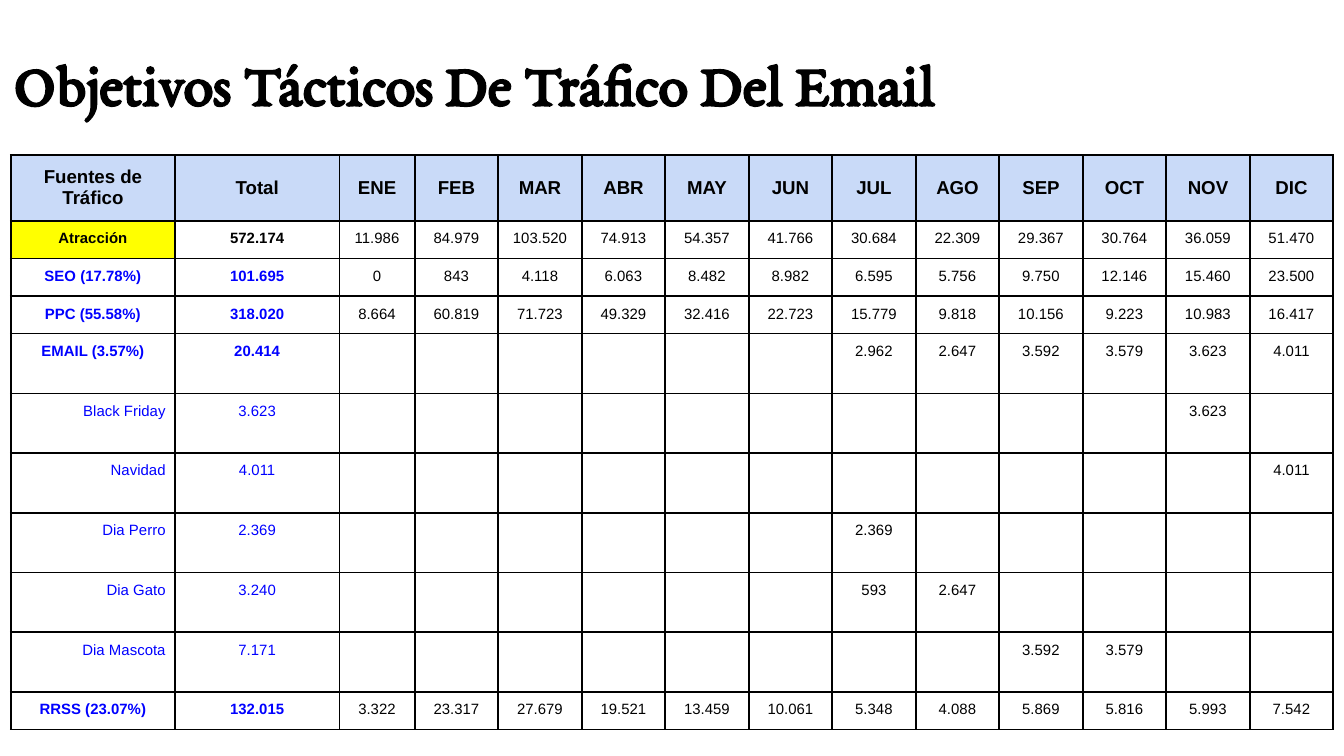
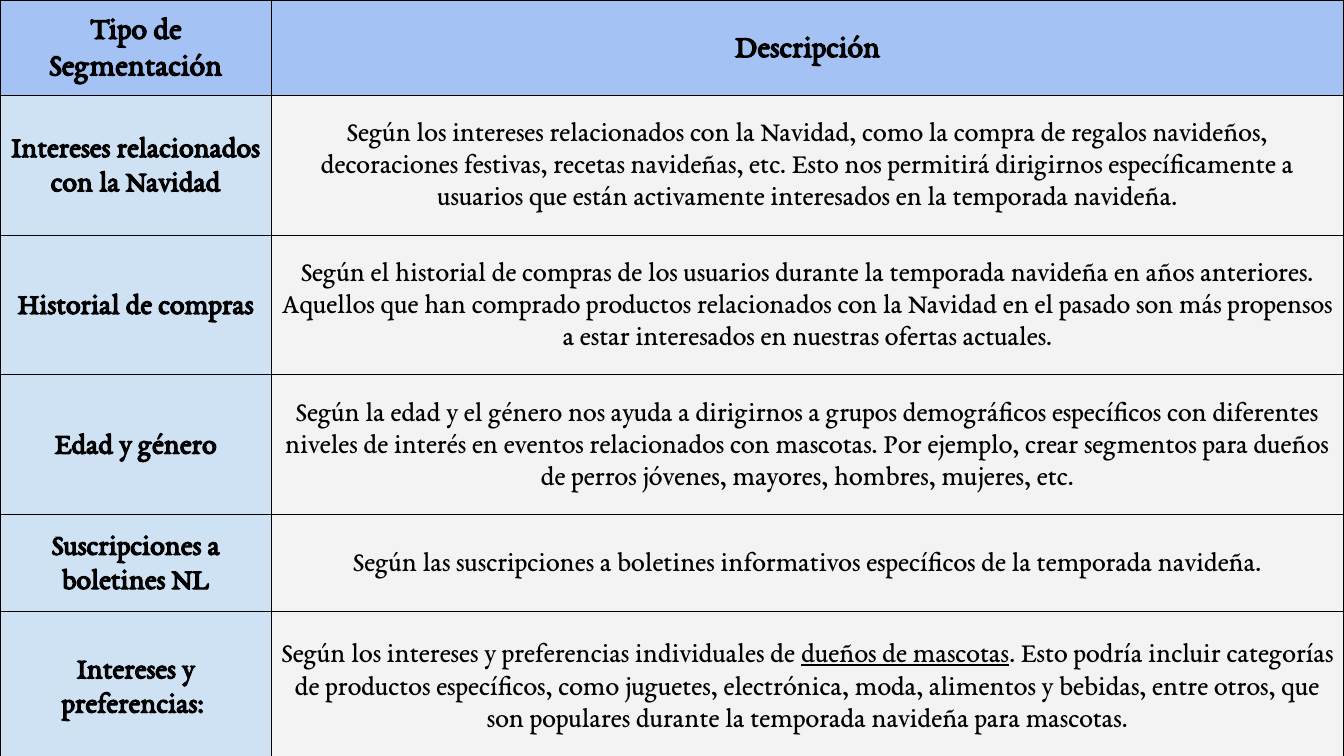
from dataclasses import dataclass

from lxml import etree
from pptx import Presentation, util as u
from pptx.dml.color import RGBColor
from pptx.enum import text as t
from pptx.oxml import ns


@dataclass(frozen=True)
class Theme:
    serif: str = "EB Garamond"
    sans: str = "Arial"
    black: str = "000000"
    blue: str = "0000FF"
    yellow: str = "FFFF00"
    sky: str = "C9DAF8"
    head: str = "A4C2F4"
    pale: str = "CFE2F3"
    gray: str = "F3F3F3"
    title: int = 32
    topic: int = 17
    label: int = 16
    body: int = 15
    month: int = 10
    data: int = 8


TH = Theme()
WIDTH = u.Inches(10)
HEIGHT = WIDTH * 9 // 16
MID, RIGHT = t.PP_ALIGN.CENTER, t.PP_ALIGN.RIGHT

MONTHS = "ENE FEB MAR ABR MAY JUN JUL AGO SEP OCT NOV DIC".split()
# Label, total and the twelve months; "-" is an empty month
SOURCES = [
    ("Atracción", "572.174", "11.986 84.979 103.520 74.913 54.357 41.766 "
     "30.684 22.309 29.367 30.764 36.059 51.470"),
    ("SEO (17.78%)", "101.695", "0 843 4.118 6.063 8.482 8.982 "
     "6.595 5.756 9.750 12.146 15.460 23.500"),
    ("PPC (55.58%)", "318.020", "8.664 60.819 71.723 49.329 32.416 22.723 "
     "15.779 9.818 10.156 9.223 10.983 16.417"),
    ("EMAIL (3.57%)", "20.414", "- - - - - - 2.962 2.647 3.592 3.579 3.623 4.011"),
    ("Black Friday", "3.623", "- - - - - - - - - - 3.623 -"),
    ("Navidad", "4.011", "- - - - - - - - - - - 4.011"),
    ("Dia Perro", "2.369", "- - - - - - 2.369 - - - - -"),
    ("Dia Gato", "3.240", "- - - - - - 593 2.647 - - - -"),
    ("Dia Mascota", "7.171", "- - - - - - - - 3.592 3.579 - -"),
    ("RRSS (23.07%)", "132.015", "3.322 23.317 27.679 19.521 13.459 10.061 "
     "5.348 4.088 5.869 5.816 5.993 7.542"),
]
EVENTS = {"Black Friday", "Navidad", "Dia Perro", "Dia Gato", "Dia Mascota"}

# Underscores enclose underlined words
SEGMENTS = [
    ("Intereses relacionados con la Navidad",
     "Según los intereses relacionados con la Navidad, como la compra de regalos "
     "navideños, decoraciones festivas, recetas navideñas, etc. Esto nos permitirá "
     "dirigirnos específicamente a usuarios que están activamente interesados en la "
     "temporada navideña."),
    ("Historial de compras",
     "Según el historial de compras de los usuarios durante la temporada navideña en "
     "años anteriores. Aquellos que han comprado productos relacionados con la Navidad "
     "en el pasado son más propensos a estar interesados en nuestras ofertas actuales."),
    ("Edad y género",
     "Según la edad y el género nos ayuda a dirigirnos a grupos demográficos "
     "específicos con diferentes niveles de interés en eventos relacionados con "
     "mascotas. Por ejemplo, crear segmentos para dueños de perros jóvenes, mayores, "
     "hombres, mujeres, etc."),
    ("Suscripciones a boletines NL",
     "Según las suscripciones a boletines informativos específicos de la temporada "
     "navideña."),
    ("Intereses y preferencias: ",
     "Según los intereses y preferencias individuales de _dueños de mascotas_. Esto "
     "podría incluir categorías de productos específicos, como juguetes, electrónica, "
     "moda, alimentos y bebidas, entre otros, que son populares durante la temporada "
     "navideña para mascotas."),
]


def place(box):
    """Turn shares of the slide into left, top, width and height."""
    x, y, w, h = box
    return int(x * WIDTH), int(y * HEIGHT), int(w * WIDTH), int(h * HEIGHT)


def style(run, face, size, color=TH.black, bold=False):
    font = run.font
    font.name, font.size, font.bold = face, u.Pt(size), bold
    font.color.rgb = RGBColor.from_string(color)


def border(cell, width):
    props = cell._tc.get_or_add_tcPr()
    for i, side in enumerate(("lnL", "lnR", "lnT", "lnB")):
        line = etree.Element(ns.qn("a:" + side), w=str(u.Pt(width)))
        fill = etree.SubElement(line, ns.qn("a:solidFill"))
        etree.SubElement(fill, ns.qn("a:srgbClr"), val=TH.black)
        props.insert(i, line)


def grid(slide, box, cols, rows, inset, width):
    """Add a plain table whose columns and rows share out the box."""
    x, y, w, h = place(box)
    table = slide.shapes.add_table(len(rows), len(cols), x, y, w, h).table
    table.first_row = table.horz_banding = False
    for col, part in zip(table.columns, cols):
        col.width = int(w * part / sum(cols))
    for row, part in zip(table.rows, rows):
        row.height = int(h * part / sum(rows))
    for cell in table.iter_cells():
        cell.margin_left = cell.margin_right = u.Pt(inset)
        cell.margin_top = cell.margin_bottom = u.Pt(inset)
        cell.fill.background()
        border(cell, width)
    return table


def write(cell, words, face, size, color=TH.black, bold=False,
          fill=None, align=MID, middle=False, space=None):
    para = cell.text_frame.paragraphs[0]
    para.alignment, para.line_spacing = align, space
    for i, part in enumerate(words.split("_")):
        run = para.add_run()
        run.text = part
        style(run, face, size, color, bold)
        if i % 2:
            run.font.underline = True
    if middle:
        cell.vertical_anchor = t.MSO_ANCHOR.MIDDLE
    if fill:
        cell.fill.solid()
        cell.fill.fore_color.rgb = RGBColor.from_string(fill)


def heading(slide, box, words):
    title = slide.shapes.title
    title.left, title.top, title.width, title.height = place(box)
    frame = title.text_frame
    frame.text = words
    frame.auto_size = t.MSO_AUTO_SIZE.NONE
    frame.vertical_anchor = t.MSO_ANCHOR.TOP
    frame.margin_left = frame.margin_right = u.Inches(0.1)
    frame.margin_top = frame.margin_bottom = u.Inches(0.1)
    para = frame.paragraphs[0]
    para.alignment = t.PP_ALIGN.LEFT
    style(para.runs[0], TH.serif, TH.title, bold=True)


def traffic(slide, box):
    """Traffic by source and month; rows with empty cells grow when drawn."""
    cols = [1.22, 1.22, 0.56] + [0.62] * 11
    table = grid(slide, box, cols, [0.49] + [0.28] * len(SOURCES), 5, 1)
    for c, name in enumerate(["Fuentes de Tráfico", "Total"] + MONTHS):
        write(table.cell(0, c), name, TH.sans, TH.month, bold=True,
              fill=TH.sky, middle=True)
    for r, (name, total, months) in enumerate(SOURCES, 1):
        event = name in EVENTS
        color = TH.black if r == 1 else TH.blue
        write(table.cell(r, 0), name, TH.sans, TH.data, color, not event,
              fill=TH.yellow if r == 1 else None, align=RIGHT if event else MID)
        write(table.cell(r, 1), total, TH.sans, TH.data, color, not event)
        for c, value in enumerate(months.split(), 2):
            if value != "-":
                write(table.cell(r, c), value, TH.sans, TH.data)


def segments(slide, box):
    """Segment types with their descriptions."""
    rows = [0.71, 1.04, 1.04, 1.04, 0.72, 1.12]
    table = grid(slide, box, [2.02, 7.98], rows, 2.25, 0.75)
    both = dict(face=TH.serif, middle=True, space=1.15)
    for c, name in enumerate(("Tipo de Segmentación", "Descripción")):
        write(table.cell(0, c), name, size=TH.topic, bold=True, fill=TH.head, **both)
    for r, (name, about) in enumerate(SEGMENTS, 1):
        write(table.cell(r, 0), name, size=TH.label, bold=True, fill=TH.pale, **both)
        write(table.cell(r, 1), about, size=TH.body, fill=TH.gray, **both)


def main():
    deck = Presentation()
    deck.slide_width, deck.slide_height = WIDTH, HEIGHT
    titled, blank = deck.slide_layouts[5], deck.slide_layouts[6]

    # Traffic goals
    goals = deck.slides.add_slide(titled)
    heading(goals, (0, 0.043, 0.765, 0.128), "Objetivos Tácticos De Tráfico Del Email")
    traffic(goals, (0.008, 0.205, 0.984, 0.585))

    # Segmentation
    segments(deck.slides.add_slide(blank), (0, 0, 1, 1.008))

    deck.save("out.pptx")


if __name__ == "__main__":
    main()
